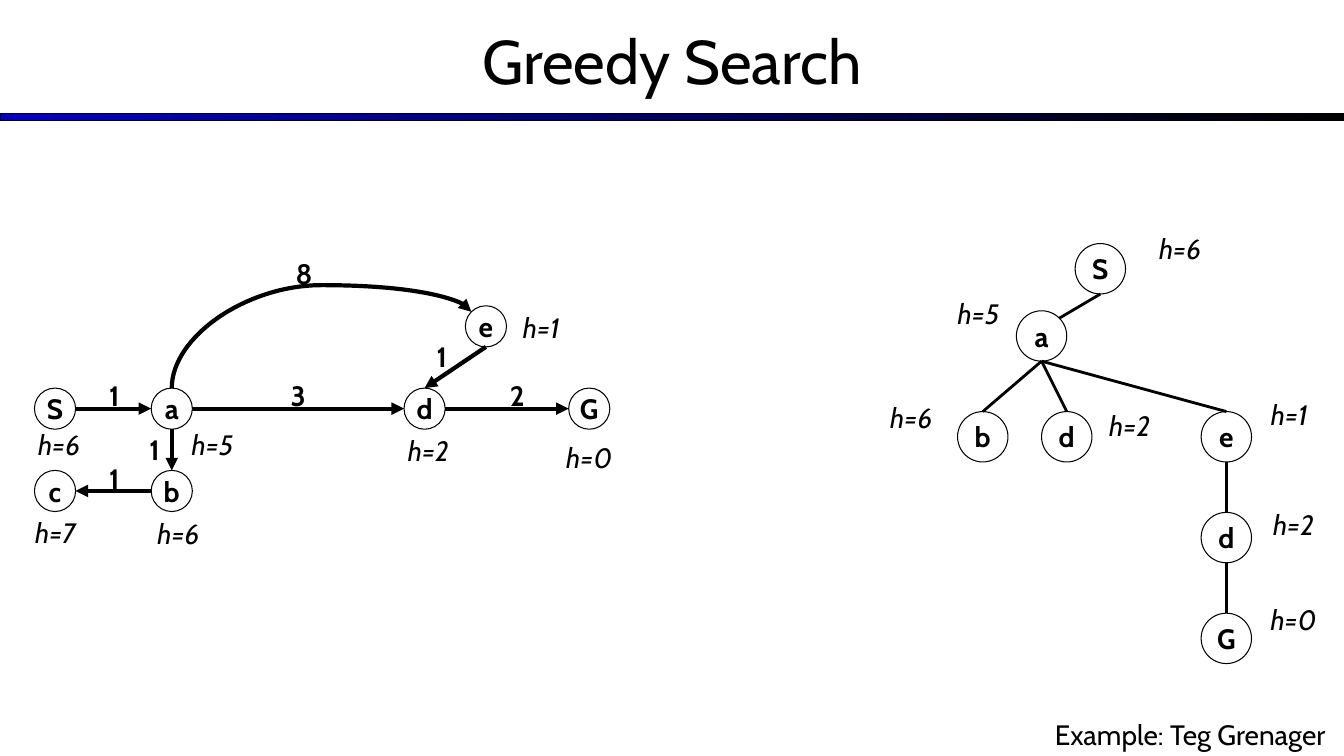
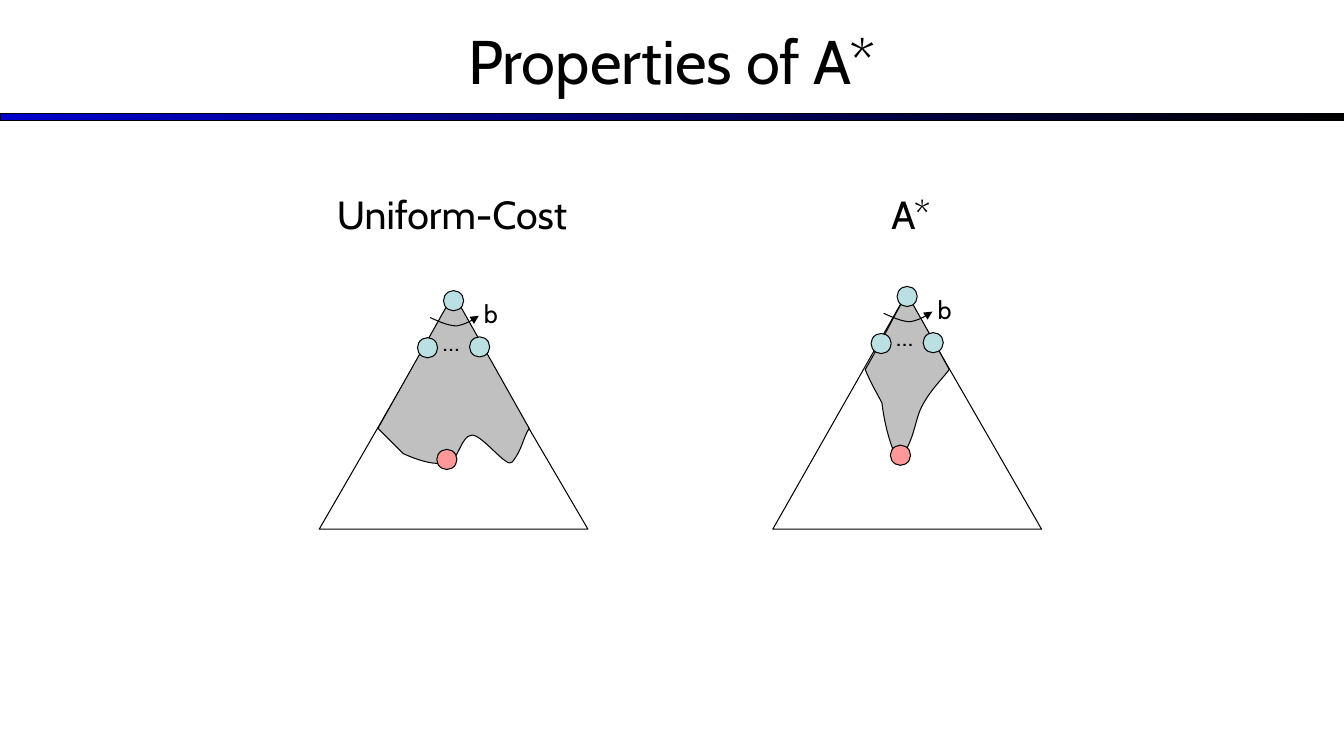
from math import cos, radians, sin

from lxml.etree import SubElement
from pptx import Presentation
from pptx.dml.color import RGBColor
from pptx.enum.shapes import MSO_CONNECTOR, MSO_SHAPE
from pptx.enum.text import MSO_ANCHOR, PP_ALIGN
from pptx.oxml.ns import qn
from pptx.util import Inches, Pt

STRAIGHT, CURVE = MSO_CONNECTOR.STRAIGHT, MSO_CONNECTOR.CURVE
OVAL, RECTANGLE = MSO_SHAPE.OVAL, MSO_SHAPE.RECTANGLE
MIDDLE = MSO_ANCHOR.MIDDLE
CENTER, RIGHT_ALIGN = PP_ALIGN.CENTER, PP_ALIGN.RIGHT

BLACK = RGBColor(0x00, 0x00, 0x00)
WHITE = RGBColor(0xFF, 0xFF, 0xFF)
BLUE = RGBColor(0x00, 0x00, 0xCC)
GRAY = RGBColor(0xC0, 0xC0, 0xC0)
PALE_BLUE = RGBColor(0xBB, 0xE0, 0xE3)
PINK = RGBColor(0xFF, 0x99, 0x99)

FONT = "Cabin"
COLUMNS, ROWS = 160, 90
UNIT = Inches(1) // 12  # one column or row of the grid
THIN = 0.75

# Connection sites of an ellipse, counted counterclockwise from the top
TOP, TOP_LEFT, LEFT, BOTTOM, RIGHT, TOP_RIGHT = 0, 1, 2, 4, 6, 7


def grid(value):
    return round(value * UNIT)


class SlideBuilder:
    """Holds the deck's style and the slide being drawn."""

    def __init__(self):
        self.deck = Presentation()
        self.deck.slide_width = grid(COLUMNS)
        self.deck.slide_height = grid(ROWS)
        self.slide = None

    def start(self, title):
        self.slide = self.deck.slides.add_slide(self.deck.slide_layouts[5])
        # Gradient band below the title
        band = self.slide.shapes.add_shape(
            RECTANGLE, 0, grid(13.5), grid(COLUMNS), grid(0.9))
        band.shadow.inherit = False
        band.fill.gradient()
        band.fill.gradient_angle = 0
        for stop, color in zip(band.fill.gradient_stops, (BLUE, BLACK)):
            stop.color.rgb = color
        self.outline(band)
        # Title
        box = self.slide.shapes.title
        box.left, box.top = 0, grid(-0.4)
        box.width, box.height = grid(COLUMNS), grid(15)
        self.set_text(box, title, 44)

    def set_text(self, shape, text, size, bold=False, italic=False,
                 align=CENTER):
        frame = shape.text_frame
        frame.text = text
        frame.vertical_anchor = MIDDLE
        para = frame.paragraphs[0]
        para.alignment = align
        for span in para.runs:
            font = span.font
            font.name, font.size = FONT, Pt(size)
            font.bold, font.italic = bold, italic
            font.color.rgb = BLACK

    def outline(self, shape, width=THIN, arrow=False):
        shape.line.color.rgb = BLACK
        shape.line.width = Pt(width)
        if arrow:
            line = shape.element.spPr.find(qn("a:ln"))
            SubElement(line, qn("a:tailEnd"), type="triangle")

    def label(self, x, y, text, size=20, width=11, height=5.25, **style):
        """Text centred on a grid point."""
        box = self.slide.shapes.add_textbox(
            grid(x - width / 2), grid(y - height / 2),
            grid(width), grid(height))
        box.text_frame.word_wrap = True
        self.set_text(box, text, size, **style)

    def circle(self, x, y, radius, fill=WHITE, text=None):
        shape = self.slide.shapes.add_shape(
            OVAL, grid(x - radius), grid(y - radius),
            grid(2 * radius), grid(2 * radius))
        shape.shadow.inherit = False
        shape.fill.solid()
        shape.fill.fore_color.rgb = fill
        self.outline(shape)
        if text:
            self.set_text(shape, text, 20, bold=True)
            shape.text_frame.word_wrap = False
        return shape

    def link(self, start, start_site, end, end_site, width, arrow=False,
             bend=None):
        """Line between two circles; a bend makes it an arc over the top."""
        points = []
        for node, site in ((start, start_site), (end, end_site)):
            angle, radius = radians(45 * site), node.width / 2
            points.append((round(node.left + radius * (1 - sin(angle))),
                           round(node.top + radius * (1 - cos(angle)))))
        (x1, y1), (x2, y2) = points
        line = self.slide.shapes.add_connector(
            CURVE if bend else STRAIGHT, x1, y1, x2, y2)
        # Join the ends to the circles
        joints = line.element.nvCxnSpPr.cNvCxnSpPr
        for tag, node, site in (("a:stCxn", start, start_site),
                                ("a:endCxn", end, end_site)):
            SubElement(joints, qn(tag), id=str(node.shape_id), idx=str(site))
        properties = line.element.spPr
        if bend:
            # A quarter turn lets the arc leave upwards
            frame = properties.find(qn("a:xfrm"))
            frame.attrib.pop("flipV", None)
            frame.set("rot", str(270 * 60000))
            line.width, line.height = y1 - y2, x2 - x1
            line.left = (x1 + x2 - line.width) // 2
            line.top = (y1 + y2 - line.height) // 2
            geometry = properties.find(qn("a:prstGeom"))
            guides = geometry.find(qn("a:avLst"))
            if guides is None:
                guides = SubElement(geometry, qn("a:avLst"))
            SubElement(guides, qn("a:gd"), name="adj1",
                       fmla=f"val {round(bend * 100000)}")
        self.outline(line, width, arrow)
        SubElement(properties, qn("a:effectLst"))

    def freeform(self, start, segments, shift=(0, 0), fill=None,
                 close=True, arrow=False):
        """Outline whose segments hold one point (line) or three (curve)."""
        def place(point):
            return grid(point[0] + shift[0]), grid(point[1] + shift[1])

        builder = self.slide.shapes.build_freeform(*place(start))
        builder.add_line_segments(
            [place(point) for segment in segments for point in segment], close)
        shape = builder.convert_to_shape()
        # Merge the three points of each curve into one Bézier segment
        lines = iter(list(shape.element.iter(qn("a:lnTo"))))
        for segment in segments:
            steps = [next(lines) for _ in segment]
            if len(steps) == 3:
                curve = SubElement(steps[0].getparent(), qn("a:cubicBezTo"))
                steps[0].addprevious(curve)
                for step in steps:
                    curve.append(step[0])
                    step.getparent().remove(step)
        shape.shadow.inherit = False
        if fill is None:
            shape.fill.background()
        else:
            shape.fill.solid()
            shape.fill.fore_color.rgb = fill
        self.outline(shape, arrow=arrow)

    def graph(self, nodes, radius):
        """Circles with a heuristic label; returns the circles by key."""
        circles = {}
        for key, (x, y, value, dx, dy) in nodes.items():
            circles[key] = self.circle(x, y, radius, text=key[0])
            self.label(x + dx, y + dy, f"h={value}", italic=True)
        return circles

    def search_cone(self, shift, heading, heading_x, start, explored):
        """Search tree as a triangle with its explored part shaded."""
        dx, dy = shift
        base = 63 - dy
        self.freeform((38, base), [[(70, base)], [(53.9, 35.5)]], shift)
        self.freeform(start, explored, fill=GRAY)
        for x, y, fill in ((50.9, 41.4, PALE_BLUE), (57.1, 41.3, PALE_BLUE),
                           (53.2, 54.7, PINK), (54, 35.8, PALE_BLUE)):
            self.circle(x + dx, y + dy, 1.2, fill)
        # Branching factor
        self.freeform((51.2, 37.8),
                      [[(52.3, 38.3), (53.4, 38.8), (54.4, 38.8)],
                       [(55.3, 38.6), (56.2, 38.2), (57, 37.6)]],
                      shift, close=False, arrow=True)
        for x, y, text in ((53.7, 40.6, "…"), (58.45, 37.3, "b")):
            self.label(x + dx, y + dy, text, 18, width=5)
        self.label(heading_x, 25.4, heading, 28, width=36, height=6.8)


def greedy_search(builder):
    builder.start("Greedy Search")
    builder.label(140.5, 87.4, "Example: Teg Grenager", width=37,
                  align=RIGHT_ALIGN)

    # Search tree: column, row, heuristic and label offset of each node
    tree = builder.graph({
        "S": (131, 32, 6, 9.5, -2.4),
        "a": (124, 40, 5, -7.5, -2.7),
        "b": (117, 52, 6, -8.5, -2.3),
        "d": (127, 52, 2, 7.5, -1.4),
        "e": (146, 52, 1, 7.5, -2.7),
        "d2": (146, 64, 2, 8, -1.6),
        "G": (146, 76, 0, 8, -2.3),
    }, 3)
    for parent, child, site in (("S", "a", TOP_RIGHT), ("a", "b", TOP),
                                ("a", "d", TOP), ("a", "e", TOP),
                                ("e", "d2", TOP), ("d2", "G", TOP)):
        builder.link(tree[parent], BOTTOM, tree[child], site, 2)

    # State graph on three equally spaced rows
    upper, middle, lower = (48.65 + 9.8 * step for step in (-1, 0, 1))
    states = builder.graph({
        "S": (6.55, middle, 6, 0.5, 4.25),
        "a": (20.45, middle, 5, 4.85, 4.25),
        "d": (50.55, middle, 2, 0.45, 5),
        "G": (70.15, middle, 0, 0, 5.85),
        "b": (20.45, lower, 6, 0.8, 5.05),
        "c": (6.55, lower, 7, 0.05, 4.9),
        "e": (57.85, upper, 1, 6.6, 0.15),
    }, 2.45)
    edges = (
        ("S", RIGHT, "a", LEFT, "1", 13.6, 47, None),
        ("a", BOTTOM, "b", TOP, "1", 18.4, 53.5, None),
        ("b", LEFT, "c", RIGHT, "1", 13.6, 57, None),
        ("a", RIGHT, "d", LEFT, "3", 35.5, 47, None),
        ("d", RIGHT, "G", LEFT, "2", 61.6, 47, None),
        ("e", BOTTOM, "d", TOP, "1", 52.6, 42.4, None),
        ("a", TOP, "e", TOP_LEFT, "8", 36.2, 32.5, 1.35),
    )
    for start, start_site, end, end_site, cost, x, y, bend in edges:
        builder.label(x, y, cost, width=6, bold=True)
        builder.link(states[start], start_site, states[end], end_site, 3,
                     arrow=True, bend=bend)


def properties_of_a_star(builder):
    builder.start("Properties of A*")
    builder.search_cone((0, 0), "Uniform-Cost", 53.8, (54, 35), [
        [(45, 51)], [(48, 54)],
        [(48, 54), (51.5, 55.7), (53, 55)],
        [(54.4, 55.7), (54.8, 51.8), (56.2, 51.8)],
        [(57.5, 51.8), (60.4, 55.9), (61, 55)],
        [(62.2, 53.5), (62.2, 52.3), (63, 51)],
    ])
    builder.search_cone((54, -0.5), "A*", 108.45, (108, 35), [
        [(106.2, 37.9), (106.1, 38.6), (103, 44)],
        [(103.9, 46.1), (104.2, 46.4), (105, 48)],
        [(105, 48), (105.4, 52.1), (107, 55)],
        [(109.1, 52), (108.8, 50), (109.9, 48.1)],
        [(110.9, 46.3), (112.1, 45.2), (113, 44)],
        [(110, 38.5), (109.2, 37.2), (108, 35)],
    ])


def main():
    builder = SlideBuilder()
    greedy_search(builder)
    properties_of_a_star(builder)
    builder.deck.save("out.pptx")


if __name__ == "__main__":
    main()
